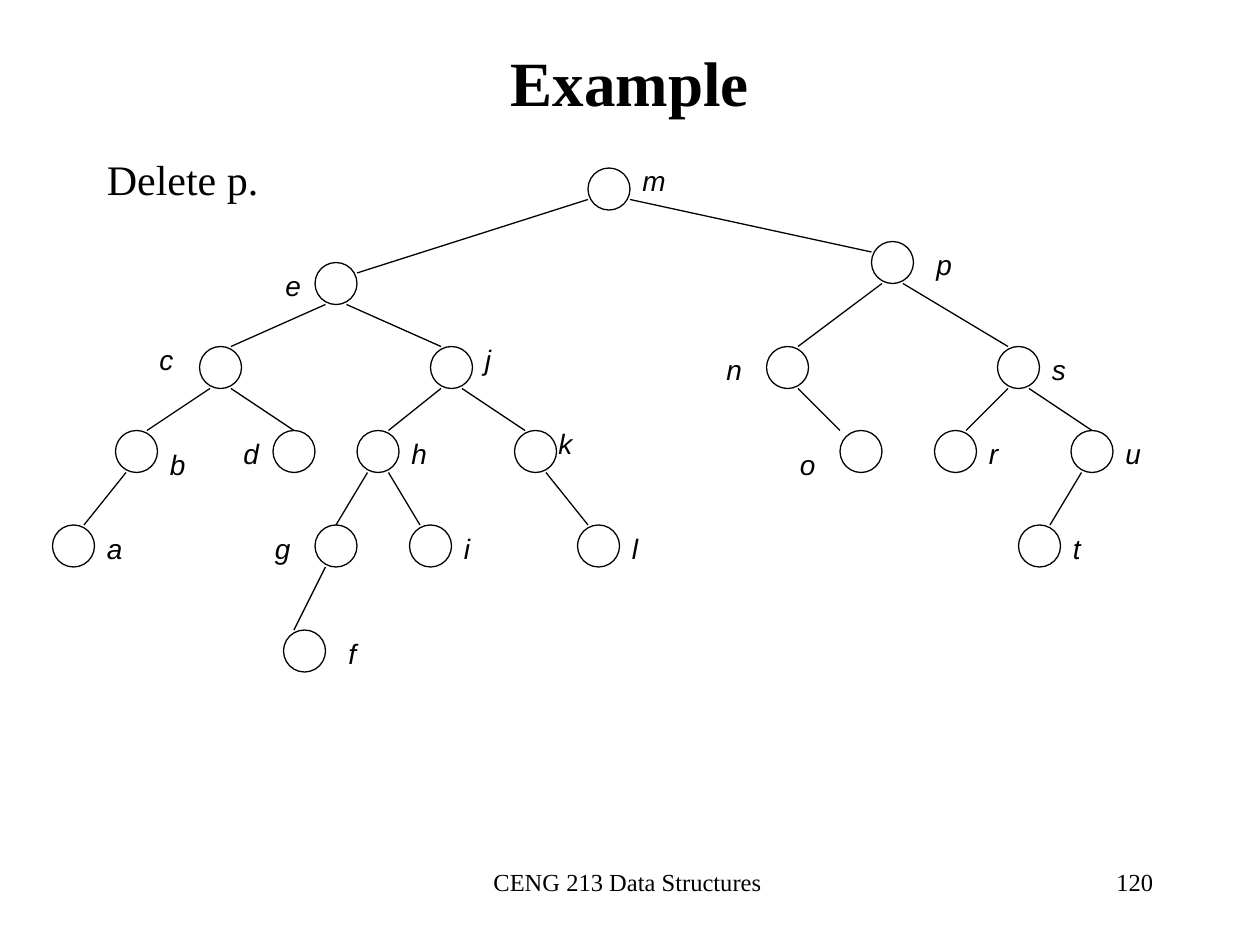
from lxml import etree
from pptx import Presentation
from pptx import util as u
from pptx.dml.color import RGBColor
from pptx.enum import shapes, text
from pptx.oxml.ns import qn

COLORS = {"ink": "000000"}
INK = RGBColor.from_string(COLORS["ink"])
ALIGN, ANCHOR = text.PP_ALIGN, text.MSO_ANCHOR
SERIF = "Times New Roman"
D = 4  # node diameter, in grid steps


def grid(n):
    """The tree sits on a grid of twelve steps to the inch."""
    return u.Inches(n / 12)


def add_text(box, words, size, font=SERIF, align=ALIGN.LEFT,
             anchor=ANCHOR.TOP, **fmt):
    tb = s.shapes.add_textbox(*box)
    tf = tb.text_frame
    tf.word_wrap = True
    tf.vertical_anchor = anchor
    p = tf.paragraphs[0]
    p.alignment = align
    r = p.add_run()
    r.text = words
    r.font.color.rgb = INK
    for key, value in {"name": font, "size": u.Pt(size), **fmt}.items():
        setattr(r.font, key, value)


prs = Presentation()
prs.slide_width, prs.slide_height = u.Inches(10), u.Inches(7.5)
s = prs.slides.add_slide(prs.slide_layouts[6])

# Title, task and footer
for box, words, size, fmt in [
    ((0.75, 0.42, 8.5, 0.45), "Example", 36,
     {"align": ALIGN.CENTER, "anchor": ANCHOR.MIDDLE, "bold": True}),
    ((0.75, 1.17, 5.17, 0.5), "Delete p.", 24, {}),
    ((3.42, 6.83, 3.17, 0.5), "CENG 213 Data Structures ", 14,
     {"align": ALIGN.CENTER}),
    ((7.17, 6.83, 2.08, 0.5), "120", 14, {"align": ALIGN.RIGHT}),
]:
    add_text([u.Inches(v) for v in box], words, size, **fmt)

# Nodes: left, top, then the label's offset from the node
nodes = {
    "m": (56, 16, 4, -1),
    "e": (30, 25, -4, 0), "p": (83, 23, 5, 0),
    "c": (19, 33, -5, -1), "j": (41, 33, 4, -1),
    "n": (73, 33, -5, 0), "s": (95, 33, 4, 0),
    "b": (11, 41, 4, 1), "d": (26, 41, -4, 0),
    "h": (34, 41, 4, 0), "k": (49, 41, 3, -1),
    "o": (80, 41, -5, 1), "r": (89, 41, 4, 0), "u": (102, 41, 4, 0),
    "a": (5, 50, 4, 0), "g": (30, 50, -5, 0), "i": (39, 50, 4, 0),
    "l": (55, 50, 4, 0), "t": (97, 50, 4, 0),
    "f": (27, 60, 5, 0),
}
circles = {}
for name, (x, y, dx, dy) in nodes.items():
    sp = s.shapes.add_shape(shapes.MSO_SHAPE.OVAL, grid(x), grid(y),
                            grid(D), grid(D))
    sp.shadow.inherit = False
    sp.fill.background()
    sp.line.color.rgb = INK
    sp.line.width = u.Pt(0.75)
    circles[name] = sp
    add_text((grid(x + dx), grid(y + dy), u.Inches(0.58), u.Inches(0.37)),
             name, 16, "Arial", italic=True)

# Edges: parent and child, then the x offset of each end within its node
edges = [
    ("me", 0, 4), ("mp", 4, 0),
    ("ec", 1, 3), ("ej", 3, 1), ("pn", 1, 3), ("ps", 3, 1),
    ("cb", 1, 3), ("cd", 3, 2), ("jh", 1, 3), ("jk", 3, 1),
    ("no", 3, 0), ("sr", 1, 3), ("su", 3, 2),
    ("ut", 1, 3), ("ba", 1, 3), ("hg", 1, 2), ("hi", 3, 1),
    ("gf", 1, 1), ("kl", 3, 1),
]
for (parent, child), start, end in edges:
    x0, y0 = nodes[parent][:2]
    x1, y1 = nodes[child][:2]
    # The root's edges leave from its sides, all others from below
    drop, rise = (3, 1) if parent == "m" else (D, 0)
    line = s.shapes.add_connector(
        shapes.MSO_CONNECTOR.STRAIGHT, grid(x0 + start), grid(y0 + drop),
        grid(x1 + end), grid(y1 + rise))
    line.line.color.rgb = INK
    line.line.width = u.Pt(0.75)
    etree.SubElement(line._element.spPr, qn("a:effectLst"))
    if end == D / 2:
        line.end_connect(circles[child], 0)

prs.save("out.pptx")
